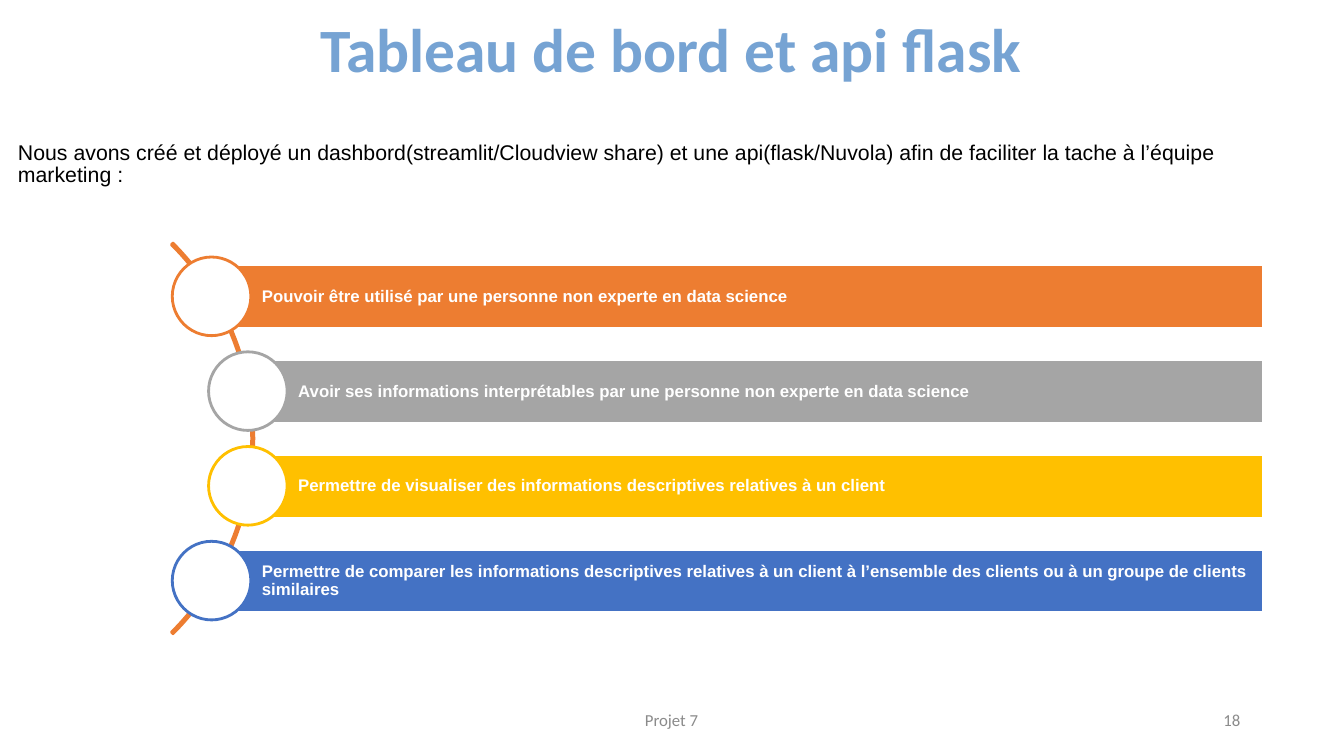
from pptx import Presentation
from pptx.dml.color import RGBColor
from pptx.enum.shapes import MSO_SHAPE as SHAPE
from pptx.enum.text import MSO_ANCHOR as ANCHOR, PP_ALIGN as ALIGN
from pptx.util import Pt

PX = 9144
COLORS = {
    "white": "FFFFFF", "black": "000000", "title": "76A3D3", "footer": "8B8B8B",
    "orange": "ED7D31", "gray": "A5A5A5", "gold": "FFC000", "blue": "4472C4",
}
GOALS = [
    ("orange", 0, "Pouvoir être utilisé par une personne non experte en data science"),
    ("gray", 36, "Avoir ses informations interprétables par une personne non experte en data science"),
    ("gold", 36, "Permettre de visualiser des informations descriptives relatives à un client"),
    ("blue", 0, "Permettre de comparer les informations descriptives relatives à un client "
                "à l’ensemble des clients ou à un groupe de clients similaires"),
]
INTRO = ("Nous avons créé et déployé un dashbord(streamlit/Cloudview share) et une "
         "api(flask/Nuvola) afin de faciliter la tache à l’équipe marketing :")


def rgb(name):
    return RGBColor.from_string(COLORS[name])


def px(*lengths):
    return [n * PX for n in lengths]


def write(sp, text, size, color, font="Arial", bold=False, align=ALIGN.LEFT,
          anchor=ANCHOR.MIDDLE, spacing=1.0, insets=(10, 5, 10, 5)):
    tf = sp.text_frame
    tf.text = text
    tf.word_wrap = True
    tf.vertical_anchor = anchor
    tf.margin_left, tf.margin_top, tf.margin_right, tf.margin_bottom = px(*insets)
    p = tf.paragraphs[0]
    p.alignment = align
    p.line_spacing = spacing
    f = p.runs[0].font
    f.name, f.size, f.bold = font, Pt(size), bold
    f.color.rgb = rgb(color)


def add_text(slide, box, text, size, color, **style):
    write(slide.shapes.add_textbox(*px(*box)), text, size, color, **style)


def add_shape(slide, kind, box, fill, line):
    sp = slide.shapes.add_shape(kind, *px(*box))
    sp.shadow.inherit = False
    if fill:
        sp.fill.solid()
        sp.fill.fore_color.rgb = rgb(fill)
    else:
        sp.fill.background()
    sp.line.color.rgb = rgb(line)
    sp.line.width = Pt(2)
    return sp


def add_header(slide, box):
    x, y, w, h = box
    add_text(slide, (x, y, w, 83), "Tableau de bord et api flask", 44, "title",
             font="Calibri", bold=True, align=ALIGN.CENTER, anchor=ANCHOR.TOP)
    add_text(slide, (x + 8, y + h - 52, w - 30, 52), INTRO, 15.2, "black",
             anchor=ANCHOR.BOTTOM, spacing=0.85)


def add_goals(slide, box):
    x, y, w, h = box
    arc, dot, bar, pitch = 548, 78, 63, 94
    mid = y + h // 2
    ring = add_shape(slide, SHAPE.BLOCK_ARC,
                     (x + 81 - arc, mid - arc // 2, arc, arc), None, "orange")
    for i, value in enumerate((189, 27, 0.004)):
        ring.adjustments[i] = value
    first = mid - (pitch * (len(GOALS) - 1) + bar) // 2
    for i, (color, shift, text) in enumerate(GOALS):
        top = first + i * pitch
        left = x + shift + dot // 2
        sp = add_shape(slide, SHAPE.RECTANGLE, (left, top, x + w - left, bar), color, "white")
        write(sp, text, 12, "white", bold=True, spacing=0.9, insets=(50, 3, 3, 3))
        add_shape(slide, SHAPE.OVAL, (x + shift, top - (dot - bar + 1) // 2, dot, dot),
                  "white", color)


def add_footer(slide, box):
    x, y, w, h = box
    add_text(slide, (x, y, 449, h), "Projet 7", 12, "footer",
             font="Calibri", align=ALIGN.CENTER)
    add_text(slide, (x + w - 299, y, 299, h), "18", 12, "footer",
             font="Calibri", align=ALIGN.RIGHT)


def main():
    prs = Presentation()
    prs.slide_width, prs.slide_height = px(1334, 750)
    slide = prs.slides.add_slide(prs.slide_layouts[6])
    add_goals(slide, (171, 240, 1083, 390))
    add_header(slide, (0, 6, 1333, 184))
    add_footer(slide, (442, 695, 799, 39))
    prs.save("out.pptx")


if __name__ == "__main__":
    main()
